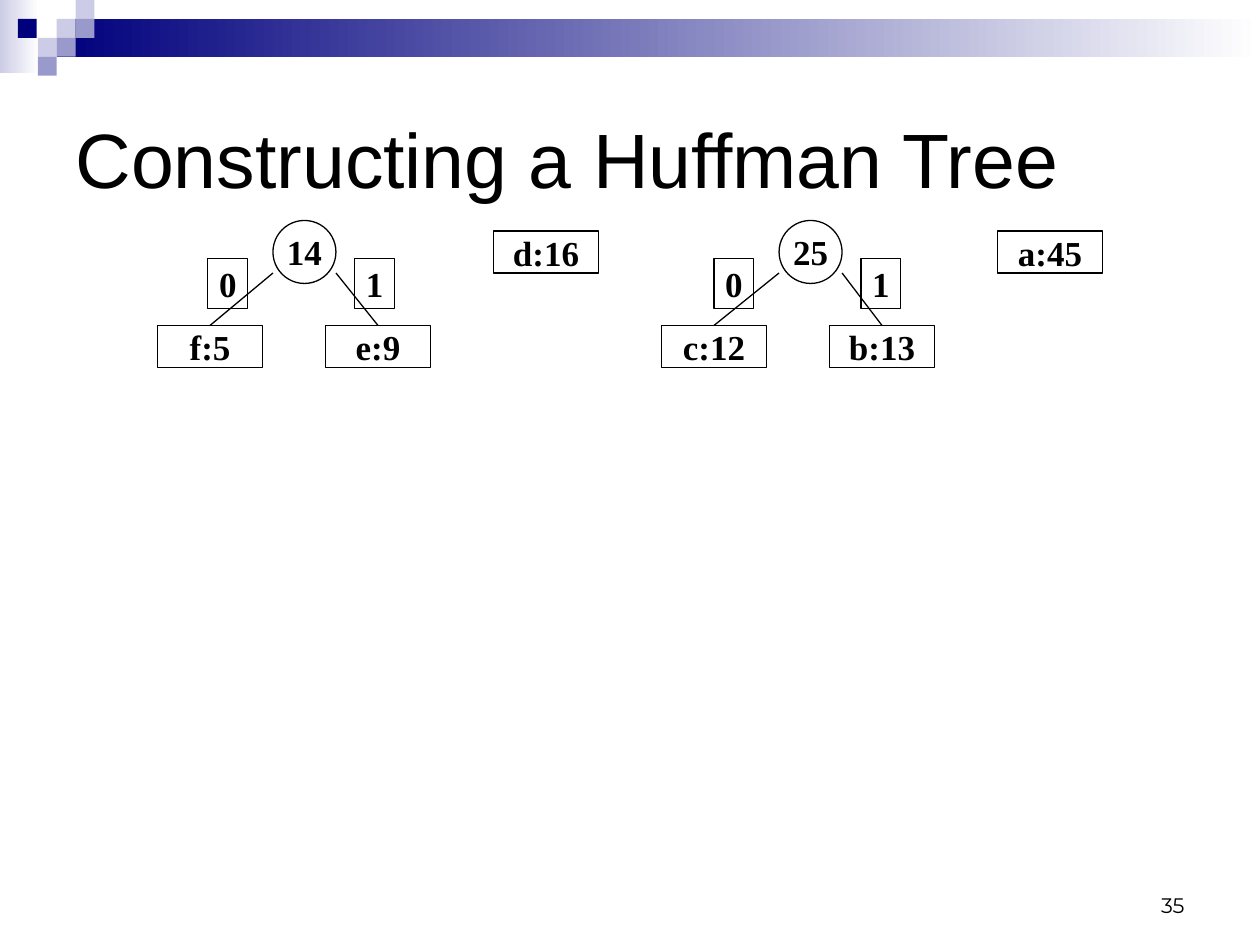
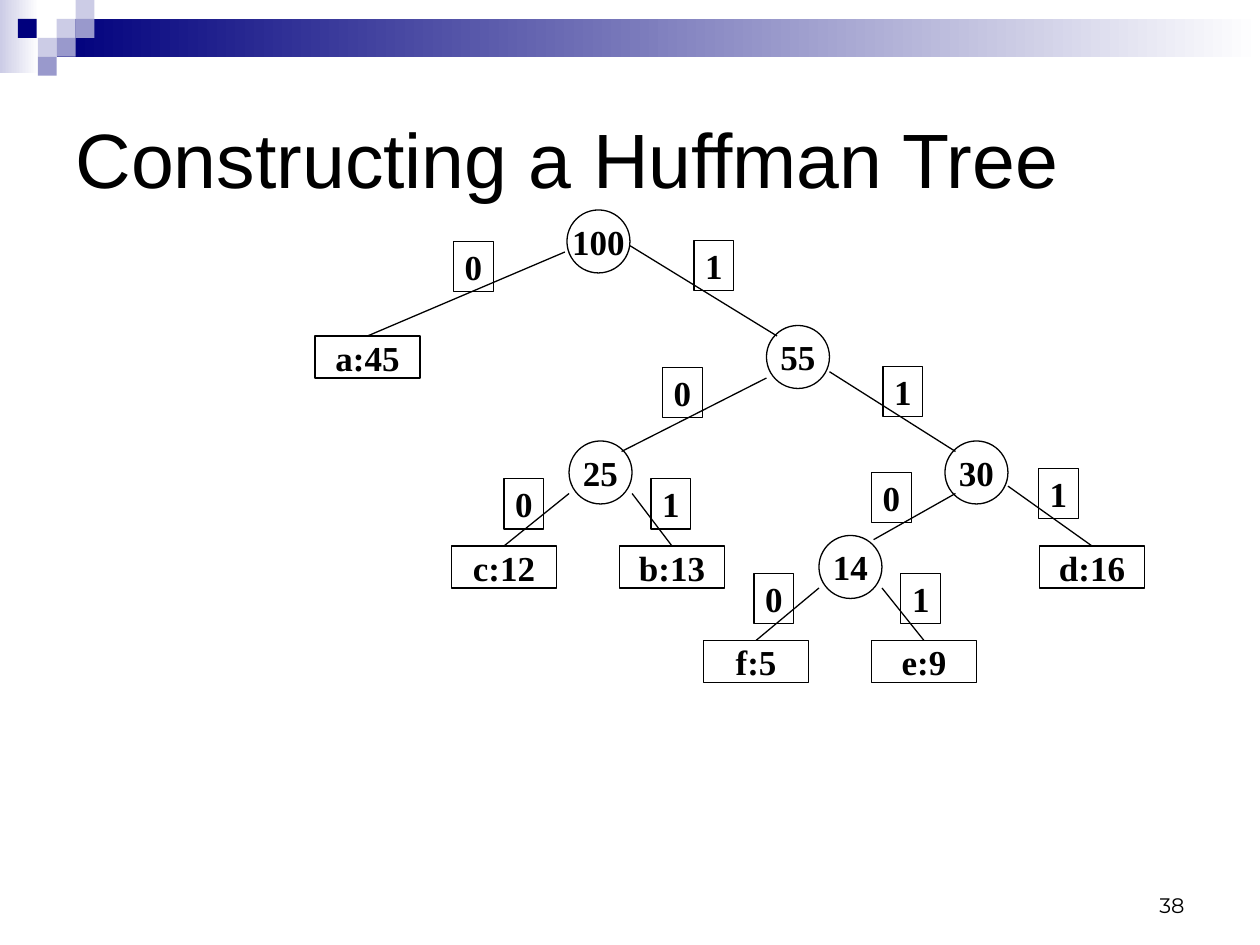
from lxml.etree import SubElement
from pptx import Presentation
from pptx.dml.color import RGBColor
from pptx.enum.shapes import MSO_CONNECTOR, MSO_SHAPE
from pptx.enum.text import MSO_ANCHOR, PP_ALIGN
from pptx.oxml.ns import qn
from pptx.util import Pt

PX = 7620
HUES = {"ink": "000000", "navy": "00007D", "mid": "9999CC", "pale": "CCCCE6", "white": "FFFFFF"}
TONES = {name: RGBColor.from_string(code) for name, code in HUES.items()}
BOX = (100, 40)
BALL = (60, 60)
TAG = (38, 48)

BANDS = [
    (0, 0, 37, 70, "pale", True),
    (54, 18, 1146, 36, "navy", True),
    (54, 18, 18, 18, "pale", False),
    (72, 0, 18, 18, "pale", False),
    (72, 18, 18, 18, "mid", False),
    (36, 36, 18, 18, "pale", False),
    (17, 18, 18, 18, "navy", False),
    (54, 36, 18, 18, "mid", False),
    (36, 54, 18, 18, "mid", False),
]

# Each link: child, bit, parent end, label corner, child end (None joins a leaf's top).
PAGES = [
    {
        "number": "35",
        "nodes": {
            "f:5": (150, 310), "e:9": (310, 310), "c:12": (630, 310), "b:13": (790, 310),
            "d:16": (470, 220), "a:45": (950, 220), "14": (260, 210), "25": (742, 210),
        },
        "links": [],
    },
    {
        "number": "38",
        "nodes": {
            "f:5": (670, 610), "e:9": (830, 610), "c:12": (430, 520), "b:13": (590, 520),
            "d:16": (990, 520), "a:45": (300, 320), "14": (780, 510), "25": (542, 420),
            "30": (900, 420), "55": (730, 310), "100": (540, 200),
        },
        "links": [
            ("14", "0", (910, 470), (830, 450), (832, 514)),
            ("d:16", "1", (960, 463), (989, 446), None),
            ("25", "0", (730, 360), (631, 350), (592, 430)),
            ("30", "1", (790, 354), (841, 349), (910, 430)),
            ("a:45", "0", (538, 240), (432, 230), None),
            ("55", "1", (600, 234), (661, 229), (740, 320)),
        ],
    },
]
PAIRS = [("14", "f:5", "e:9"), ("25", "c:12", "b:13")]


def style(frame, text, font, size, align, anchor, bold=False):
    frame.text = text
    frame.vertical_anchor = anchor
    line = frame.paragraphs[0]
    line.alignment = align
    face = line.runs[0].font
    face.name, face.size, face.bold = font, Pt(size), bold
    face.color.rgb = TONES["ink"]


def draw(slide, kind, spot, size, text):
    shape = slide.shapes.add_shape(kind, *[v * PX for v in spot + size])
    shape.shadow.inherit = False
    shape.fill.background()
    shape.line.color.rgb = TONES["ink"]
    shape.line.width = Pt(0.75)
    shape.text_frame.word_wrap = False
    style(shape.text_frame, text, "Times New Roman", 20, PP_ALIGN.CENTER, MSO_ANCHOR.MIDDLE, True)
    return shape


deck = Presentation()
deck.slide_width, deck.slide_height = 1200 * PX, 900 * PX
layout = deck.slide_layouts[5]
for holder in list(layout.placeholders)[1:]:
    holder.element.getparent().remove(holder.element)
slides = [deck.slides.add_slide(layout) for page in PAGES]

bands = []
for x, y, w, h, tone, fade in BANDS:
    band = slides[0].shapes.add_shape(MSO_SHAPE.RECTANGLE, x * PX, y * PX, w * PX, h * PX)
    band.shadow.inherit = False
    band.line.fill.background()
    if fade:
        band.fill.gradient()
        band.fill.gradient_angle = 0
        for stop, name in zip(band.fill.gradient_stops, (tone, "white")):
            stop.color.rgb = TONES[name]
    else:
        band.fill.solid()
        band.fill.fore_color.rgb = TONES[tone]
    bands.append(band)
for band in bands:
    layout.shapes.element.append(band.element)

for slide, page in zip(slides, PAGES):
    title = slide.shapes.title
    title.left, title.top, title.width, title.height = 60 * PX, 60 * PX, 1080 * PX, 180 * PX
    style(title.text_frame, "Constructing a Huffman Tree", "Arial", 44, PP_ALIGN.LEFT, MSO_ANCHOR.MIDDLE)

    foot = slide.shapes.add_textbox(860 * PX, 820 * PX, 280 * PX, 60 * PX)
    foot.text_frame.word_wrap = True
    style(foot.text_frame, page["number"], "Montserrat", 12, PP_ALIGN.RIGHT, MSO_ANCHOR.BOTTOM)

    nodes = {}
    for name, spot in page["nodes"].items():
        if ":" in name:
            nodes[name] = draw(slide, MSO_SHAPE.RECTANGLE, spot, BOX, name)
        else:
            nodes[name] = draw(slide, MSO_SHAPE.OVAL, spot, BALL, name)

    links = list(page["links"])
    for root, left, right in PAIRS:
        x, y = page["nodes"][root]
        links.append((left, "0", (x, y + 50), (x - 62, y + 36), None))
        links.append((right, "1", (x + 60, y + 50), (x + 78, y + 36), None))

    for child, bit, end, spot, start in links:
        points = (start or page["nodes"][child]) + end
        wire = slide.shapes.add_connector(MSO_CONNECTOR.STRAIGHT, *[v * PX for v in points])
        if start is None:
            wire.begin_connect(nodes[child], 0)
        wire.line.color.rgb = TONES["ink"]
        wire.line.width = Pt(0.75)
        SubElement(wire.element.spPr, qn("a:effectLst"))
        draw(slide, MSO_SHAPE.RECTANGLE, spot, TAG, bit)

deck.save("out.pptx")
